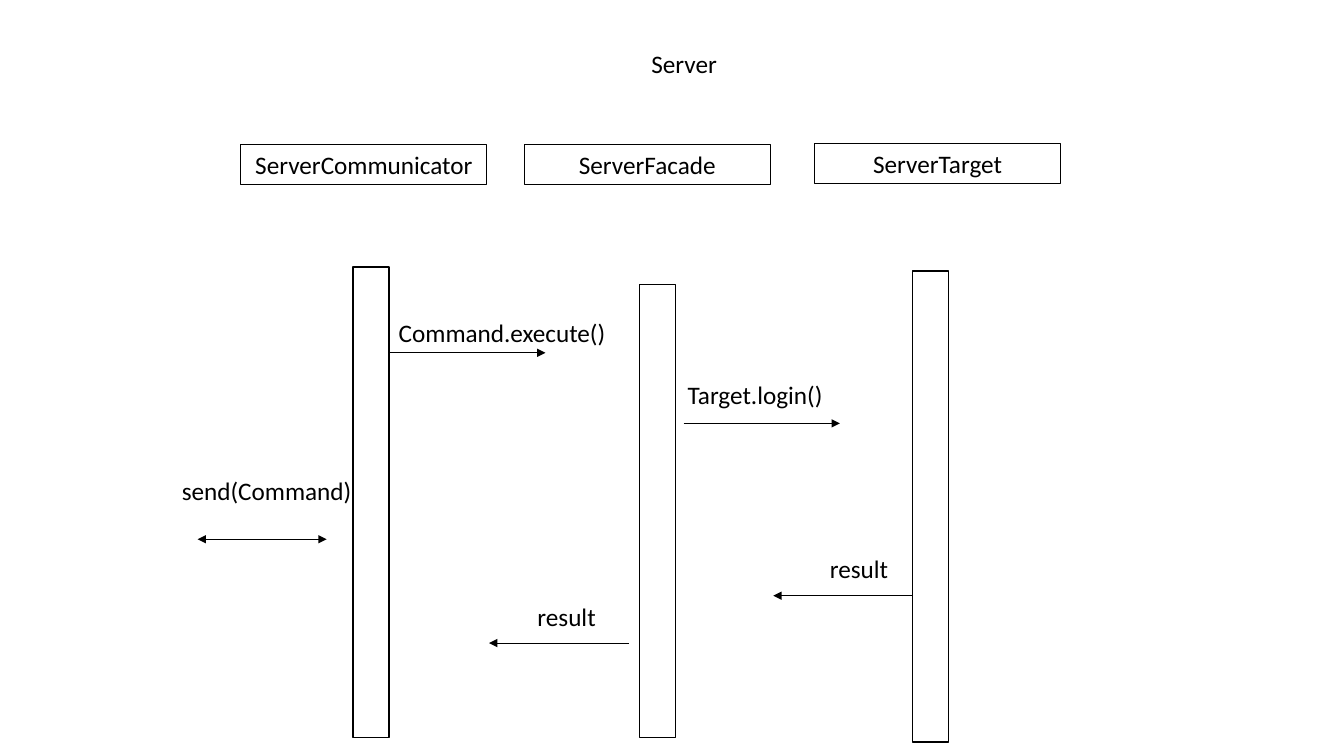
from lxml import etree
from pptx import Presentation
from pptx.dml.color import RGBColor
from pptx.enum.shapes import MSO_CONNECTOR, MSO_SHAPE
from pptx.enum.text import MSO_ANCHOR, PP_ALIGN
from pptx.oxml.ns import qn
from pptx.util import Inches, Pt

STRAIGHT = MSO_CONNECTOR.STRAIGHT
RECTANGLE = MSO_SHAPE.RECTANGLE
CENTER = PP_ALIGN.CENTER
TOP = MSO_ANCHOR.TOP
BLACK = "000000"
FONT = "Calibri"
TEXT_HEIGHT = 0.4
HEADER_WIDTH = 2.44
BAR_WIDTH = 0.36

LIFELINES = [
    ("ServerCommunicator", (2.39, 1.43), (3.5, 2.65, 4.67)),
    ("ServerFacade", (5.2, 1.43), (6.34, 2.82, 4.5)),
    ("ServerTarget", (8.08, 1.42), (9.05, 2.69, 4.67)),
]
MESSAGES = [
    ("Command.execute()", (3.78, 3.1, 2.4), (3.86, 5.41, 3.5), False),
    ("Target.login()", (6.29, 3.71, 2.4), (6.78, 8.33, 4.2), False),
    ("send(Command)", (1.43, 4.67, 2.43), (1.96, 3.24, 5.35), True),
    ("result", (7.17, 5.44, 2.7), (9.05, 7.67, 5.91), False),
    ("result", (4.27, 5.92, 2.7), (6.24, 4.85, 6.38), False),
]


def color(value):
    return RGBColor.from_string(value)


def write_text(shape, text):
    frame = shape.text_frame
    frame.word_wrap = True
    frame.vertical_anchor = TOP
    paragraph = frame.paragraphs[0]
    paragraph.text = text
    paragraph.alignment = CENTER
    paragraph.font.name = FONT
    paragraph.font.size = Pt(18)
    paragraph.font.color.rgb = color(BLACK)


def add_label(slide, text, left, top, width):
    label = slide.shapes.add_textbox(
        Inches(left), Inches(top), Inches(width), Inches(TEXT_HEIGHT))
    write_text(label, text)


def add_rectangle(slide, left, top, width, height, line_width):
    rectangle = slide.shapes.add_shape(
        RECTANGLE, Inches(left), Inches(top), Inches(width), Inches(height))
    rectangle.shadow.inherit = False
    rectangle.fill.background()
    rectangle.line.color.rgb = color(BLACK)
    rectangle.line.width = Pt(line_width)
    return rectangle


def add_arrow(slide, start, end, y, two_way):
    arrow = slide.shapes.add_connector(
        STRAIGHT, Inches(start), Inches(y), Inches(end), Inches(y))
    arrow.line.color.rgb = color(BLACK)
    arrow.line.width = Pt(0.5)
    line = arrow.line._get_or_add_ln()
    for tag in ("a:headEnd", "a:tailEnd") if two_way else ("a:tailEnd",):
        etree.SubElement(line, qn(tag), type="triangle")
    etree.SubElement(arrow._element.spPr, qn("a:effectLst"))


def add_lifeline(slide, name, header_place, bar_box):
    header = add_rectangle(slide, *header_place, HEADER_WIDTH, TEXT_HEIGHT, 0.75)
    write_text(header, name)
    left, top, height = bar_box
    add_rectangle(slide, left, top, BAR_WIDTH, height, 1)


def add_message(slide, text, label_box, arrow_span, two_way):
    add_label(slide, text, *label_box)
    add_arrow(slide, *arrow_span, two_way)


def main():
    presentation = Presentation()
    presentation.slide_width = Inches(13.33)
    presentation.slide_height = Inches(7.5)
    slide = presentation.slides.add_slide(presentation.slide_layouts[6])
    add_label(slide, "Server", 4.54, 0.43, 4.49)
    for lifeline in LIFELINES:
        add_lifeline(slide, *lifeline)
    for message in MESSAGES:
        add_message(slide, *message)
    presentation.save("out.pptx")


if __name__ == "__main__":
    main()
